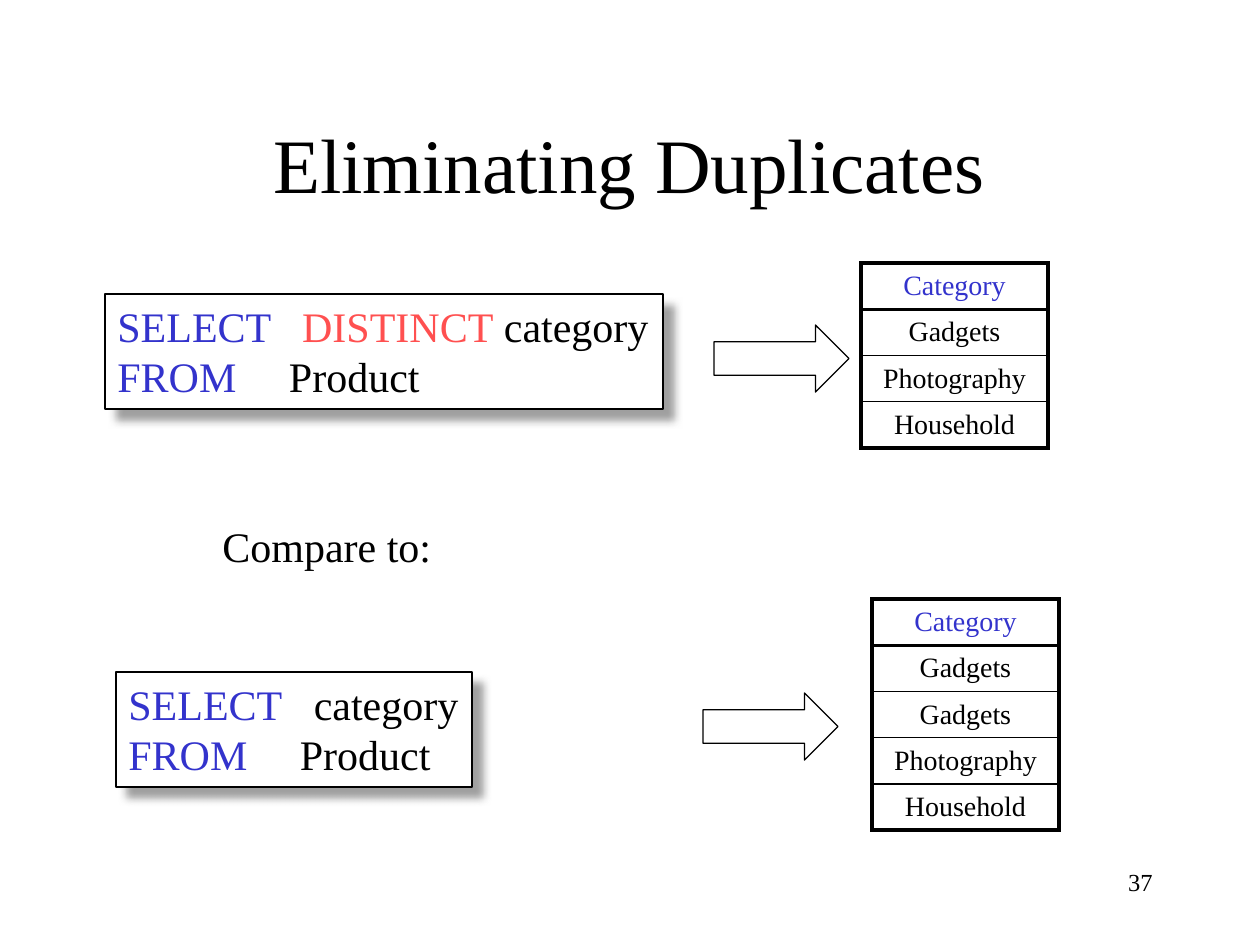
from lxml.etree import SubElement
from pptx import Presentation
from pptx.dml.color import RGBColor
from pptx.enum.shapes import MSO_SHAPE
from pptx.enum.text import MSO_ANCHOR, MSO_AUTO_SIZE, PP_ALIGN
from pptx.oxml.ns import qn
from pptx.util import Pt

SCALE = 914400 / 126  # EMU in one px
COLORS = {"black": "000000", "white": "FFFFFF", "keyword": "3333CC",
          "highlight": "FF5050", "shadow": "808080"}
FONT = "Times New Roman"
THICK, THIN = 2.25, 1
ROW_HEIGHT = 46


def emu(*lengths):
    return [round(length * SCALE) for length in lengths]


def rgb(name):
    return RGBColor.from_string(COLORS[name])


def add_solid_fill(parent, color):
    fill = SubElement(parent, qn("a:solidFill"))
    return SubElement(fill, qn("a:srgbClr"), val=COLORS[color])


class SlideBuilder:
    def __init__(self, slide):
        self.slide = slide

    def style(self, paragraph, size, color="black", align=PP_ALIGN.LEFT):
        paragraph.alignment = align
        for run in paragraph.runs:
            run.font.name = FONT
            run.font.size = Pt(size)
            run.font.color.rgb = rgb(color)

    def title(self, text, *box):
        shape = self.slide.shapes.title
        shape.left, shape.top, shape.width, shape.height = emu(*box)
        shape.text_frame.text = text
        shape.text_frame.vertical_anchor = MSO_ANCHOR.MIDDLE
        self.style(shape.text_frame.paragraphs[0], 44, align=PP_ALIGN.CENTER)

    def text(self, text, size, *box, align=PP_ALIGN.LEFT, wrap=True):
        frame = self.slide.shapes.add_textbox(*emu(*box)).text_frame
        frame.word_wrap = wrap
        frame.text = text
        self.style(frame.paragraphs[0], size, align=align)

    def outlined_shape(self, kind, *box):
        shape = self.slide.shapes.add_shape(kind, *emu(*box))
        shape.shadow.inherit = False
        shape.line.color.rgb = rgb("black")
        shape.line.width = Pt(0.75)
        return shape

    def arrow(self, *box):
        self.outlined_shape(MSO_SHAPE.RIGHT_ARROW, *box).fill.background()

    def query(self, lines, *box):
        """Shadowed box whose lines are lists of (text, color) pieces."""
        shape = self.outlined_shape(MSO_SHAPE.RECTANGLE, *box)
        shape.fill.solid()
        shape.fill.fore_color.rgb = rgb("white")
        effects = shape._element.spPr.find(qn("a:effectLst"))
        shadow = SubElement(effects, qn("a:outerShdw"), blurRad=str(Pt(5)),
                            dist=str(Pt(8.5)), dir="2700000", algn="ctr", rotWithShape="0")
        color = SubElement(shadow, qn("a:srgbClr"), val=COLORS["shadow"])
        SubElement(color, qn("a:alpha"), val="75000")

        frame = shape.text_frame
        frame.word_wrap = False
        frame.auto_size = MSO_AUTO_SIZE.SHAPE_TO_FIT_TEXT
        frame.vertical_anchor = MSO_ANCHOR.TOP
        frame.text = "\n".join("".join(text for text, _ in line) for line in lines)
        for paragraph, line in zip(frame.paragraphs, lines):
            paragraph.text = ""
            for text, _ in line:
                paragraph.add_run().text = text
            self.style(paragraph, 24)
            for run, (_, name) in zip(paragraph.runs, line):
                run.font.color.rgb = rgb(name)

    def border(self, cell, top, bottom):
        properties = cell._tc.get_or_add_tcPr()
        for side, width in zip("LRTB", (THICK, THICK, top, bottom)):
            line = SubElement(properties, qn(f"a:ln{side}"), w=str(Pt(width)))
            add_solid_fill(line, "black")

    def result(self, values, left, top, width):
        """One-column table: a header and its values."""
        count = len(values)
        frame = self.slide.shapes.add_table(
            count, 1, *emu(left, top, width, ROW_HEIGHT * count))
        table = frame.table
        table.first_row = table.horz_banding = False
        for index, value in enumerate(values):
            cell = table.cell(index, 0)
            self.border(cell, THICK if index < 2 else THIN,
                        THICK if index in (0, count - 1) else THIN)
            cell.fill.background()
            cell.vertical_anchor = MSO_ANCHOR.MIDDLE
            cell.text_frame.text = value
            self.style(cell.text_frame.paragraphs[0], 16,
                       "black" if index else "keyword", PP_ALIGN.CENTER)


def main():
    presentation = Presentation()
    presentation.slide_width, presentation.slide_height = emu(1260, 945)
    slide = presentation.slides.add_slide(presentation.slide_layouts[5])
    builder = SlideBuilder(slide)

    # Title and page number
    builder.title("Eliminating Duplicates", 94, 84, 1071, 158)
    builder.text("37", 14, 903, 861, 262, 63, align=PP_ALIGN.RIGHT)

    # Query without duplicates
    from_line = [("FROM", "keyword"), ("     Product", "black")]
    builder.query([[("SELECT   ", "keyword"), ("DISTINCT", "highlight"),
                    (" category", "black")], from_line], 105, 294, 558, 115)
    builder.arrow(714, 325, 135, 67)
    builder.result(["Category", "Gadgets", "Photography", "Household"], 861, 263, 187)

    # Query with duplicates
    builder.text("Compare to:", 24, 210, 514, 234, 63, wrap=False)
    builder.query([[("SELECT", "keyword"), ("   category", "black")], from_line],
                  116, 672, 356, 115)
    builder.arrow(703, 693, 135, 67)
    builder.result(["Category", "Gadgets", "Gadgets", "Photography", "Household"],
                   872, 599, 187)

    presentation.save("out.pptx")


if __name__ == "__main__":
    main()
